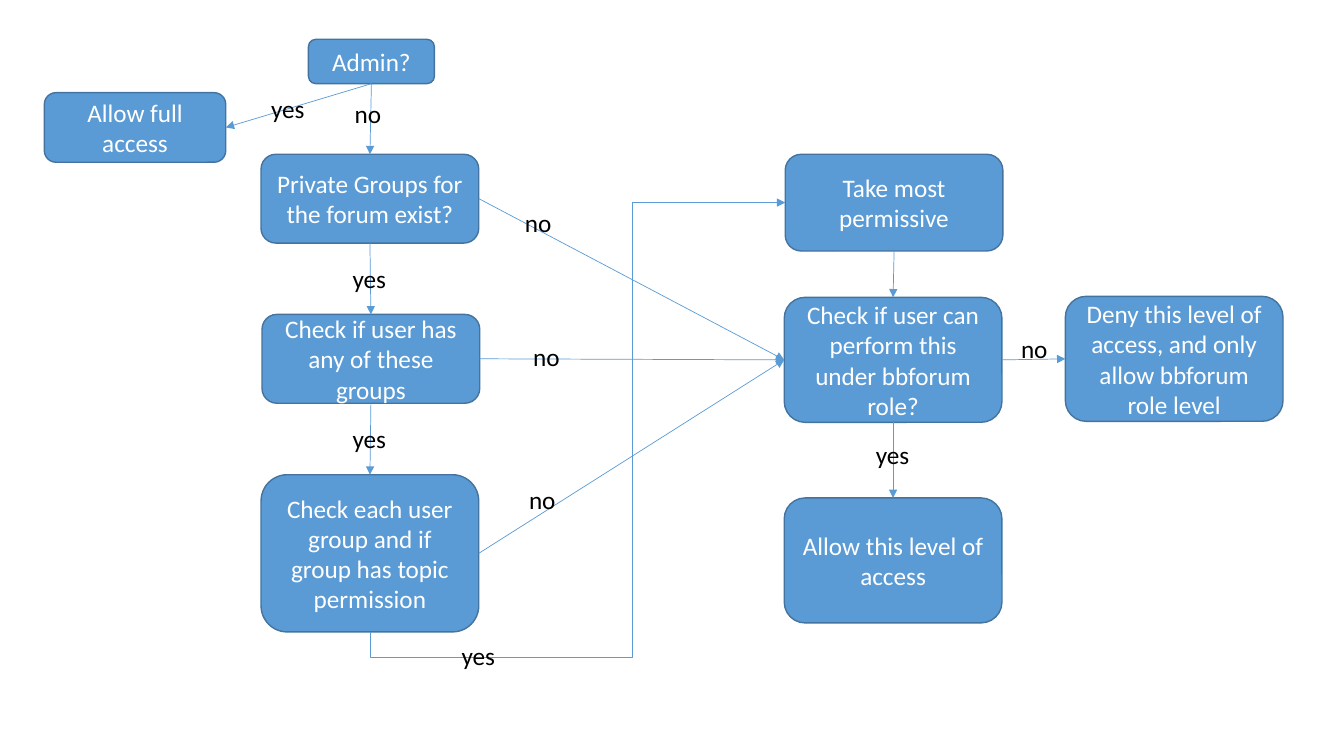
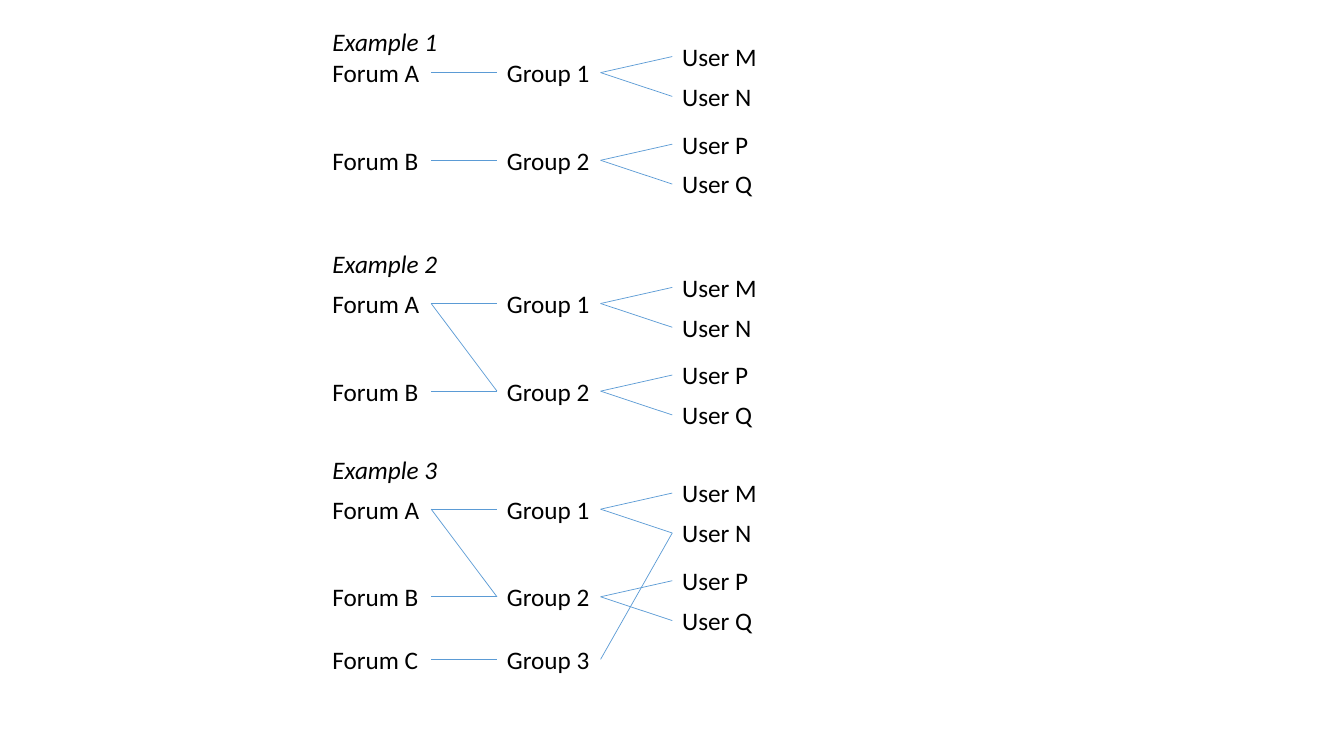
from lxml.etree import SubElement
from pptx import Presentation
from pptx.dml.color import RGBColor
from pptx.enum.shapes import MSO_CONNECTOR, MSO_SHAPE
from pptx.enum.text import MSO_ANCHOR, PP_ALIGN
from pptx.oxml.ns import qn
from pptx.util import Pt

COLORS = {"fill": "5B9BD5", "border": "43739E", "line": "5B9BD5",
          "light": "FFFFFF", "dark": "000000"}
FONT, SIZE = "Calibri", 18
BOX_W = 155.5
TEXT_H = 29
TOP, LEFT, BOTTOM, RIGHT = range(4)  # connection sites of a box

# name: (text, left, top, width, height)
BOXES = {
    "admin": ("Admin?", 220.3, 28.1, 90, 31.7),
    "full": ("Allow full access", 31.7, 66.2, 129.6, 49.7),
    "private": ("Private Groups for the forum exist?", 186.5, 110.2, BOX_W, 63.4),
    "member": ("Check if user has any of these groups", 187.2, 224.6, BOX_W, 63.4),
    "topic": ("Check each user group and if group has topic permission",
              186.5, 339.1, BOX_W, 112.3),
    "most": ("Take most permissive", 560.9, 110.2, BOX_W, 69.1),
    "role": ("Check if user can perform this under bbforum role?",
             560.2, 212.4, BOX_W, 89.3),
    "level": ("Allow this level of access", 560.2, 355.7, BOX_W, 89.3),
    "deny": ("Deny this level of access, and only allow bbforum role level",
             761, 211.7, BOX_W, 89.3),
}
ARROWS = [
    ("admin", BOTTOM, "full", RIGHT),
    ("admin", BOTTOM, "private", TOP),
    ("private", BOTTOM, "member", TOP),
    ("member", BOTTOM, "topic", TOP),
    ("private", RIGHT, "role", LEFT),
    ("member", RIGHT, "role", LEFT),
    ("topic", RIGHT, "role", LEFT),
    ("most", BOTTOM, "role", TOP),
    ("role", BOTTOM, "level", TOP),
    ("role", RIGHT, "deny", LEFT),
]
LABELS = {
    "yes": [(186.5, 63.4), (244.8, 184.3), (244.8, 298.8), (322.6, 453.6), (618.5, 310.3)],
    "no": [(246.2, 67), (367.9, 144.7), (373.7, 240.5), (370.8, 342.7), (722.2, 234.7)],
}

# column: (left, width, line end on the right)
COLUMNS = {"Forum": (230.4, 92, 308), "Group": (355, 75, 429), "User": (480.2, 72, 552)}
ROWS = {  # offsets from the first row of an example
    "Forum A": 0, "Forum B": 62.6, "Forum C": 107.3,
    "Group 1": 0, "Group 2": 62.6, "Group 3": 107.3,
    "User M": -11.5, "User N": 17, "User P": 51.1, "User Q": 79.6,
}
BASE_LINKS = [
    ("Forum A", "Group 1"), ("Forum B", "Group 2"),
    ("Group 1", "User M"), ("Group 1", "User N"),
    ("Group 2", "User P"), ("Group 2", "User Q"),
]
SHARED_LINKS = BASE_LINKS + [("Forum A", "Group 2")]
EXAMPLES = [  # title, title top, first row top, links
    ("Example 1", 15.1, 37.4, BASE_LINKS),
    ("Example 2", 173.5, 202.3, SHARED_LINKS),
    ("Example 3", 321.1, 349.2,
     SHARED_LINKS + [("Forum C", "Group 3"), ("Group 3", "User N")]),
]


def rgb(name):
    return RGBColor.from_string(COLORS[name])


def write(tf, text, color, italic=False):
    tf.word_wrap = True
    p = tf.paragraphs[0]
    p.text = text
    p.font.name, p.font.size, p.font.italic = FONT, Pt(SIZE), italic
    p.font.color.rgb = rgb(color)
    return p


def add_text(s, text, x, y, w, italic=False):
    tb = s.shapes.add_textbox(Pt(x), Pt(y), Pt(w), Pt(TEXT_H))
    write(tb.text_frame, text, "dark", italic)


def add_box(s, text, x, y, w, h):
    sp = s.shapes.add_shape(MSO_SHAPE.ROUNDED_RECTANGLE, Pt(x), Pt(y), Pt(w), Pt(h))
    sp.shadow.inherit = False
    sp.fill.solid()
    sp.fill.fore_color.rgb = rgb("fill")
    sp.line.color.rgb = rgb("border")
    sp.line.width = Pt(1)
    sp.text_frame.vertical_anchor = MSO_ANCHOR.MIDDLE
    write(sp.text_frame, text, "light").alignment = PP_ALIGN.CENTER
    return sp


def add_line(s, x1, y1, x2, y2, arrow=False, kind=MSO_CONNECTOR.STRAIGHT):
    c = s.shapes.add_connector(kind, Pt(x1), Pt(y1), Pt(x2), Pt(y2))
    c.line.color.rgb = rgb("line")
    c.line.width = Pt(0.5)
    if arrow:
        SubElement(c.line._get_or_add_ln(), qn("a:tailEnd"), type="triangle")
    SubElement(c._element.spPr, qn("a:effectLst"))
    return c


def add_detour(s, x1, y1, x2, y2, drop, turn_x):
    """Arrow that drops below its start, turns up at turn_x and ends to the right."""
    w, h = y1 - y2, x2 - x1  # size before the quarter turn
    cx, cy = (x1 + x2) / 2, (y1 + y2) / 2
    c = add_line(s, cx + w / 2, cy + h / 2, cx - w / 2, cy - h / 2,
                 True, MSO_CONNECTOR.ELBOW)
    spPr = c._element.spPr
    spPr.find(qn("a:xfrm")).set("rot", "5400000")
    geom = spPr.find(qn("a:prstGeom"))
    geom.set("prst", "bentConnector4")
    for old in list(geom):
        geom.remove(old)
    guides = SubElement(geom, qn("a:avLst"))
    for name, share in (("adj1", -drop / w), ("adj2", (turn_x - x1) / h)):
        SubElement(guides, qn("a:gd"), name=name, fmla=f"val {round(share * 100000)}")


def add_flowchart(s):
    shapes = {name: add_box(s, *box) for name, box in BOXES.items()}
    for start, start_site, end, end_site in ARROWS:
        c = add_line(s, 0, 0, 0, 0, arrow=True)
        c.begin_connect(shapes[start], start_site)
        c.end_connect(shapes[end], end_site)
    _, x1, y1, w1, h1 = BOXES["topic"]
    _, x2, y2, _, h2 = BOXES["most"]
    add_detour(s, x1 + w1 / 2, y1 + h1, x2, y2 + h2 / 2, drop=18, turn_x=451.4)
    for text, places in LABELS.items():
        for x, y in places:
            add_text(s, text, x, y, 40)


def add_example(s, title, title_y, top, links):
    add_text(s, title, COLUMNS["Forum"][0], title_y, 100, italic=True)
    for name in sorted({name for link in links for name in link}):
        x, w, _ = COLUMNS[name.split()[0]]
        add_text(s, name, x, top + ROWS[name], w)
    for start, end in links:
        x1 = COLUMNS[start.split()[0]][2]
        x2 = COLUMNS[end.split()[0]][0]
        middle = top + TEXT_H / 2
        add_line(s, x1, middle + ROWS[start], x2, middle + ROWS[end])


def main():
    prs = Presentation()
    prs.slide_width, prs.slide_height = Pt(960), Pt(540)
    blank = prs.slide_layouts[6]
    add_flowchart(prs.slides.add_slide(blank))
    s = prs.slides.add_slide(blank)
    for example in EXAMPLES:
        add_example(s, *example)
    prs.save("out.pptx")


if __name__ == "__main__":
    main()
